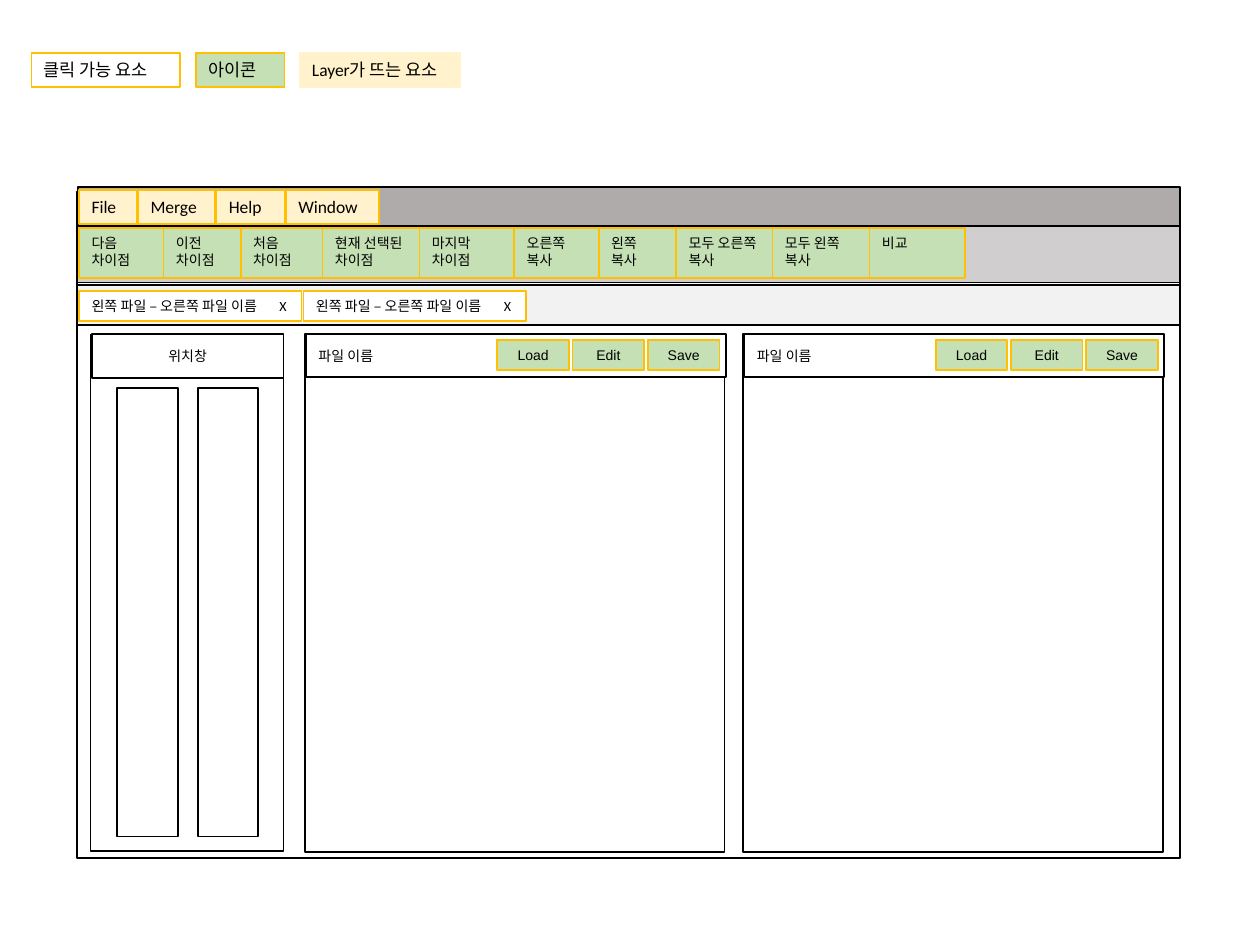
import pptx
import pptx.util
import pptx.dml.color
import pptx.enum.shapes
import pptx.enum.text
import lxml.etree
import pptx.oxml.ns

Pt = pptx.util.Pt
ALIGN = pptx.enum.text.PP_ALIGN
ANCHOR = pptx.enum.text.MSO_ANCHOR
COLORS = {
    "black": "000000", "white": "FFFFFF", "clickable": "FFC000",
    "icon": "C5E0B4", "layer": "FFF2CC", "toolbar": "D0CECE",
    "menu bar": "AFABAB", "tab bar": "F2F2F2",
}


def rgb(name):
    return pptx.dml.color.RGBColor.from_string(COLORS[name])


def add_box(shapes, left, top, width, height, fill="white", line="black", text="",
            size=8, font="Calibri", align=ALIGN.LEFT, anchor=ANCHOR.TOP):
    """Add an outlined rectangle; top-anchored text makes it grow to fit."""
    box = shapes.add_shape(pptx.enum.shapes.MSO_SHAPE.RECTANGLE,
                           Pt(left), Pt(top), Pt(width), Pt(height))
    box.shadow.inherit = False
    box.fill.solid()
    box.fill.fore_color.rgb = rgb(fill)
    box.line.color.rgb = rgb(line)
    box.line.width = Pt(1)
    if text:
        frame = box.text_frame
        frame.text = text
        frame.word_wrap = True
        frame.vertical_anchor = anchor
        if anchor == ANCHOR.TOP:
            frame.auto_size = pptx.enum.text.MSO_AUTO_SIZE.SHAPE_TO_FIT_TEXT
        paragraph = frame.paragraphs[0]
        paragraph.alignment = align
        for run in paragraph.runs:
            run.font.size = Pt(size)
            run.font.name = font
            run.font.color.rgb = rgb("black")
    return box


deck = pptx.Presentation()
deck.slide_width, deck.slide_height = Pt(720), Pt(540)
slide = deck.slides.add_slide(deck.slide_layouts[6])
shapes = slide.shapes

# Application window and menu bar
add_box(shapes, 44.2, 109.4, 630, 381)
add_box(shapes, 44.2, 129, 630, 32.4, "toolbar")
menu = shapes.add_group_shape().shapes
add_box(menu, 44.5, 106.7, 630, 22.3, "menu bar")
for label, left, width in [("File", 45.2, 33.2), ("Merge", 79, 44),
                           ("Help", 123.7, 39), ("Window", 163.4, 53.3)]:
    add_box(menu, left, 108.7, width, 19.4, "layer", "clickable", label, 10)

# Legend
for label, left, width, fill, line in [
        ("클릭 가능 요소", 18, 85, "white", "clickable"),
        ("아이콘", 112.1, 50.5, "icon", "clickable"),
        ("Layer가 뜨는 요소", 171.2, 92, "layer", "layer")]:
    add_box(shapes, left, 30.4, width, 19.4, fill, line, label, 10)

# Toolbar buttons, side by side
left = 45.3
for label, width in [
        ("다음 차이점", 48.2), ("이전 차이점", 44), ("처음 차이점", 46.8),
        ("현재 선택된 차이점", 55.4), ("마지막 차이점", 54.2),
        ("오른쪽 복사", 48.2), ("왼쪽 복사", 44.4), ("모두 오른쪽 복사", 55),
        ("모두 왼쪽 복사", 55.4), ("비교", 54.7)]:
    add_box(shapes, left, 130.5, width, 28.4, "icon", "clickable", label, font="Arial")
    left += width

# File tabs, with the close mark on a tab stop
add_box(shapes, 44.2, 162.9, 630, 23, "tab bar")
for left in (45.3, 173.5):
    tab = add_box(shapes, left, 166.4, 127, 17, line="clickable",
                  text="왼쪽 파일 – 오른쪽 파일 이름\tX")
    properties = tab.text_frame.paragraphs[0]._p.get_or_add_pPr()
    stops = lxml.etree.SubElement(properties, pptx.oxml.ns.qn("a:tabLst"))
    lxml.etree.SubElement(stops, pptx.oxml.ns.qn("a:tab"),
                          pos=str(int(Pt(107.3))), algn="l")

# Location pane
add_box(shapes, 51.8, 191.2, 110.3, 295.2)
add_box(shapes, 52.5, 191, 109.6, 25, text="위치창",
        align=ALIGN.CENTER, anchor=ANCHOR.MIDDLE)
for left in (67, 113):
    add_box(shapes, left, 221.8, 34.7, 256.3)

# Left and right file panes
for left in (174.2, 424.7):
    pane = shapes.add_group_shape().shapes
    add_box(pane, left, 191, 239.8, 296)
    add_box(pane, left + 0.7, 191, 239.8, 24.3, text="파일 이름", anchor=ANCHOR.MIDDLE)
    for column, label in enumerate(("Load", "Edit", "Save")):
        add_box(pane, left + 110 + 43 * column, 194.4, 41, 17, "icon", "clickable",
                label, font="Arial", align=ALIGN.CENTER)

deck.save("out.pptx")
